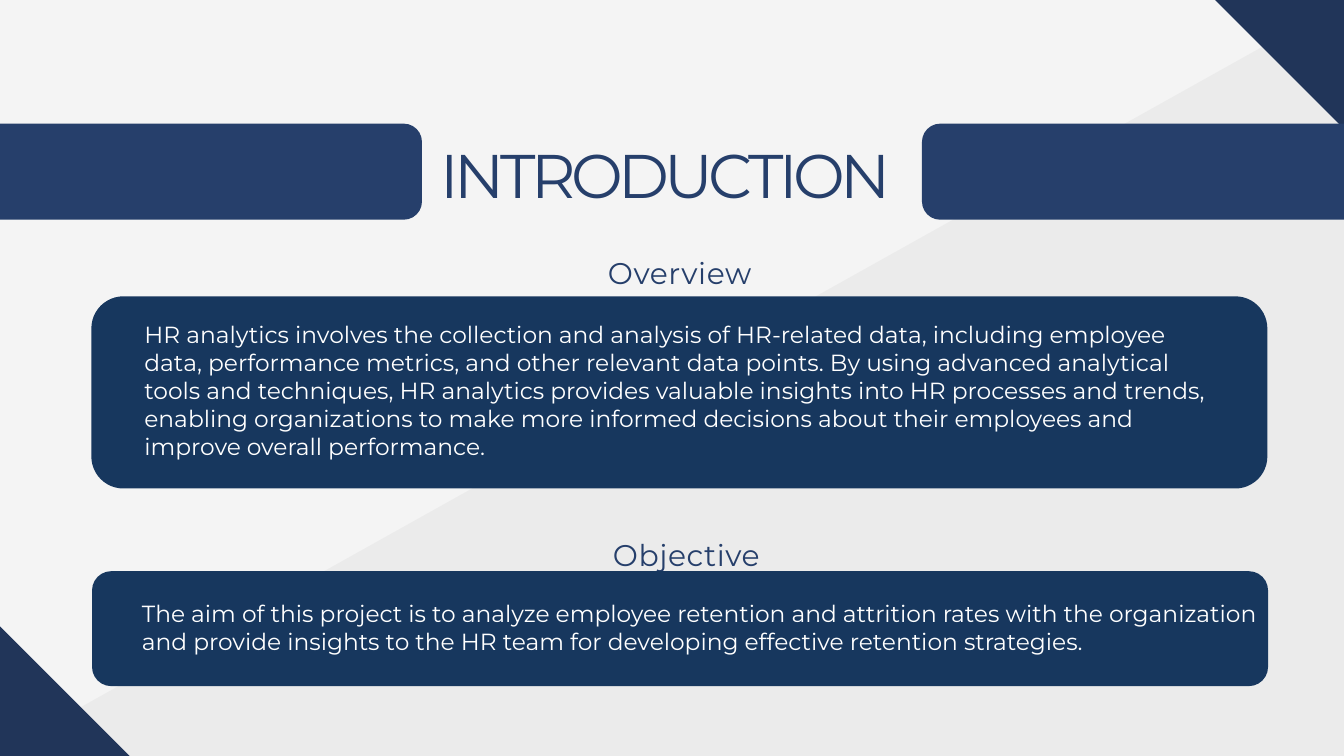
from pptx import Presentation
from pptx.dml.color import RGBColor
from pptx.enum.shapes import MSO_SHAPE as Shape
from pptx.enum.text import MSO_ANCHOR as Anchor, MSO_AUTO_SIZE as AutoSize, PP_ALIGN as Align
from pptx.oxml.ns import qn
from pptx.util import Inches, Pt
from lxml.etree import SubElement

FONT = "Montserrat"
COLORS = {
    "background": "F4F4F4",
    "shade": "545454",
    "corner": "213559",
    "banner": "263F6B",
    "panel": "17375E",
    "white": "FFFFFF",
}
OVERVIEW = (
    "HR analytics involves the collection and analysis of HR-related data, including employee "
    "data, performance metrics, and other relevant data points. By using advanced analytical "
    "tools and techniques, HR analytics provides valuable insights into HR processes and trends, "
    "enabling organizations to make more informed decisions about their employees and "
    "improve overall performance."
)
OBJECTIVE = (
    "The aim of this project is to analyze employee retention and attrition rates with the "
    "organization and provide insights to the HR team for developing effective retention strategies."
)


class SlideBuilder:
    def __init__(self, slide):
        self.slide = slide

    def color(self, name):
        return RGBColor.from_string(COLORS[name])

    def background(self, name):
        fill = self.slide.background.fill
        fill.solid()
        fill.fore_color.rgb = self.color(name)

    def block(self, kind, area, color, rotation=0, opacity=100):
        """Add a borderless filled shape; opacity is in percent."""
        shape = self.slide.shapes.add_shape(kind, *map(Inches, area))
        shape.shadow.inherit = False
        shape.rotation = rotation
        shape.fill.solid()
        shape.fill.fore_color.rgb = self.color(color)
        shape.line.fill.background()
        if opacity < 100:
            tint = shape._element.spPr.find(f"{qn('a:solidFill')}/{qn('a:srgbClr')}")
            SubElement(tint, qn("a:alpha"), val=str(opacity * 1000))
        return shape

    def banner(self, left):
        shape = self.block(Shape.ROUNDED_RECTANGLE, (left, 1.84, 9.03, 1.43), "banner")
        shape.adjustments[0] = 0.19

    def heading(self, text, area, size, line_height, tracking):
        """Add a centred heading; tracking is the letter spacing in points."""
        box = self.slide.shapes.add_textbox(*map(Inches, area))
        frame = box.text_frame
        frame.word_wrap = True
        frame.auto_size = AutoSize.SHAPE_TO_FIT_TEXT
        frame.margin_left = frame.margin_right = frame.margin_top = frame.margin_bottom = 0
        para = self.fill_text(frame, text, size, "banner", Align.CENTER)
        para.line_spacing = Pt(line_height)
        span = para.runs[0]
        span._r.get_or_add_rPr().set("spc", str(round(tracking * 100)))

    def panel(self, outer, inner, text):
        """Add a rounded panel and the text block that lies on it."""
        self.block(Shape.ROUNDED_RECTANGLE, outer, "panel")
        block = self.block(Shape.ROUNDED_RECTANGLE, inner, "panel")
        frame = block.text_frame
        frame.word_wrap = True
        frame.vertical_anchor = Anchor.MIDDLE
        self.fill_text(frame, text, 25, "white", Align.LEFT)

    def fill_text(self, frame, text, size, color, align):
        para = frame.paragraphs[0]
        para.alignment = align
        para.add_run().text = text
        para.font.name = FONT
        para.font.size = Pt(size)
        para.font.color.rgb = self.color(color)
        return para


def main():
    deck = Presentation()
    deck.slide_width, deck.slide_height = Inches(20), Inches(11.25)
    page = SlideBuilder(deck.slides.add_slide(deck.slide_layouts[6]))

    page.background("background")
    page.block(Shape.RECTANGLE, (-1.22, 4.76, 28.2, 10.48), "shade", rotation=330.8, opacity=5)
    for left, top in ((-2.89, 9.89), (17.11, -1.36)):
        page.block(Shape.RECTANGLE, (left, top, 5.79, 2.72), "corner", rotation=45)
    for left in (-2.75, 13.72):
        page.banner(left)
    page.heading("INTRODUCTION", (6.24, 2.02, 7.33, 1.08), 66, 80.7, -4.8)

    sections = (
        ("Overview", (7.42, 3.55), (1.36, 4.41, 17.5, 2.86), (1.95, 4.76, 16.33, 2.08), OVERVIEW),
        ("Objective", (7.52, 7.74), (1.37, 8.5, 17.5, 1.71), (1.95, 8.69, 16.91, 1.3), OBJECTIVE),
    )
    for title, corner, outer, inner, text in sections:
        page.heading(title, (*corner, 5.39, 0.69), 32, 55.9, 0.6)
        page.panel(outer, inner, text)

    deck.save("out.pptx")


if __name__ == "__main__":
    main()
